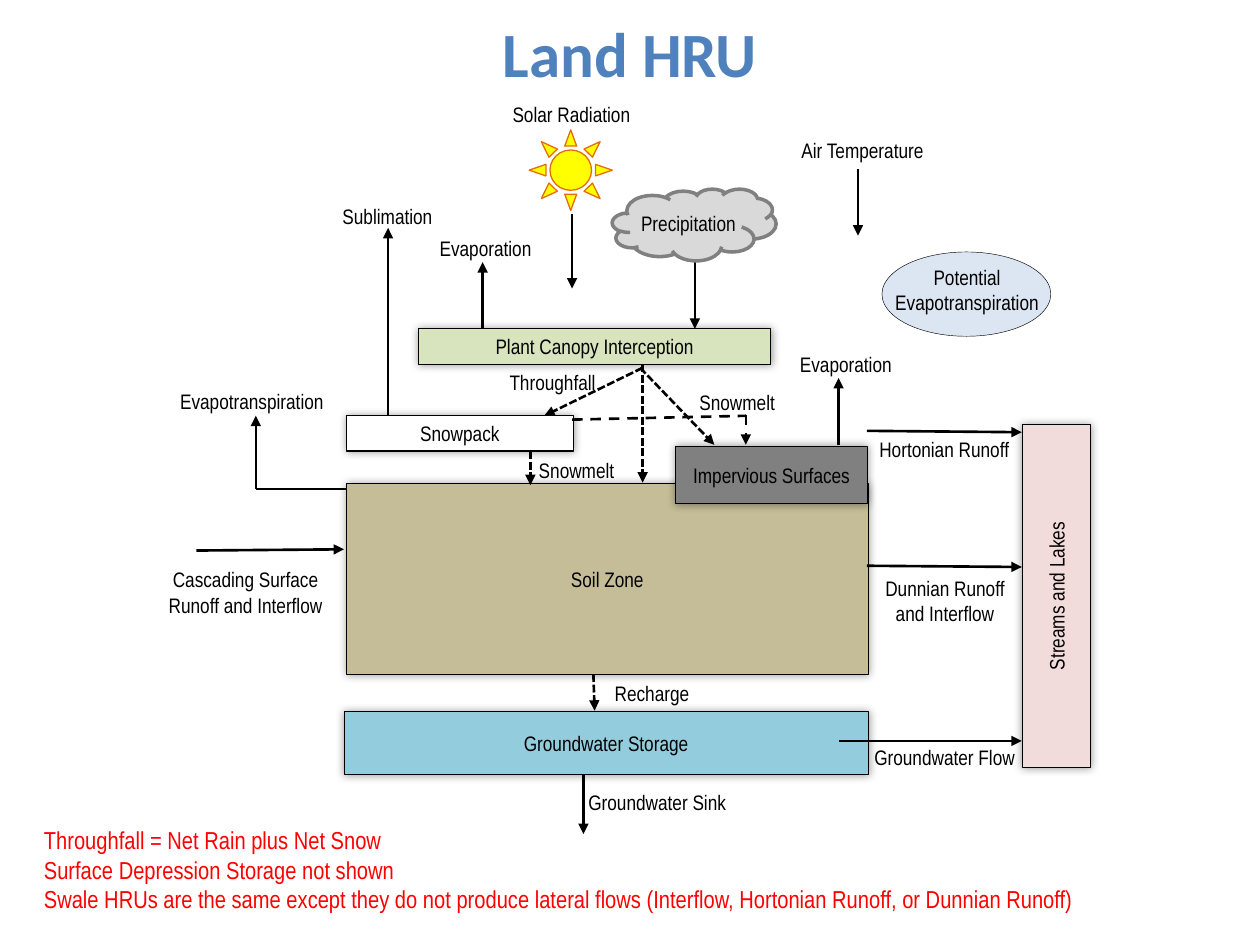
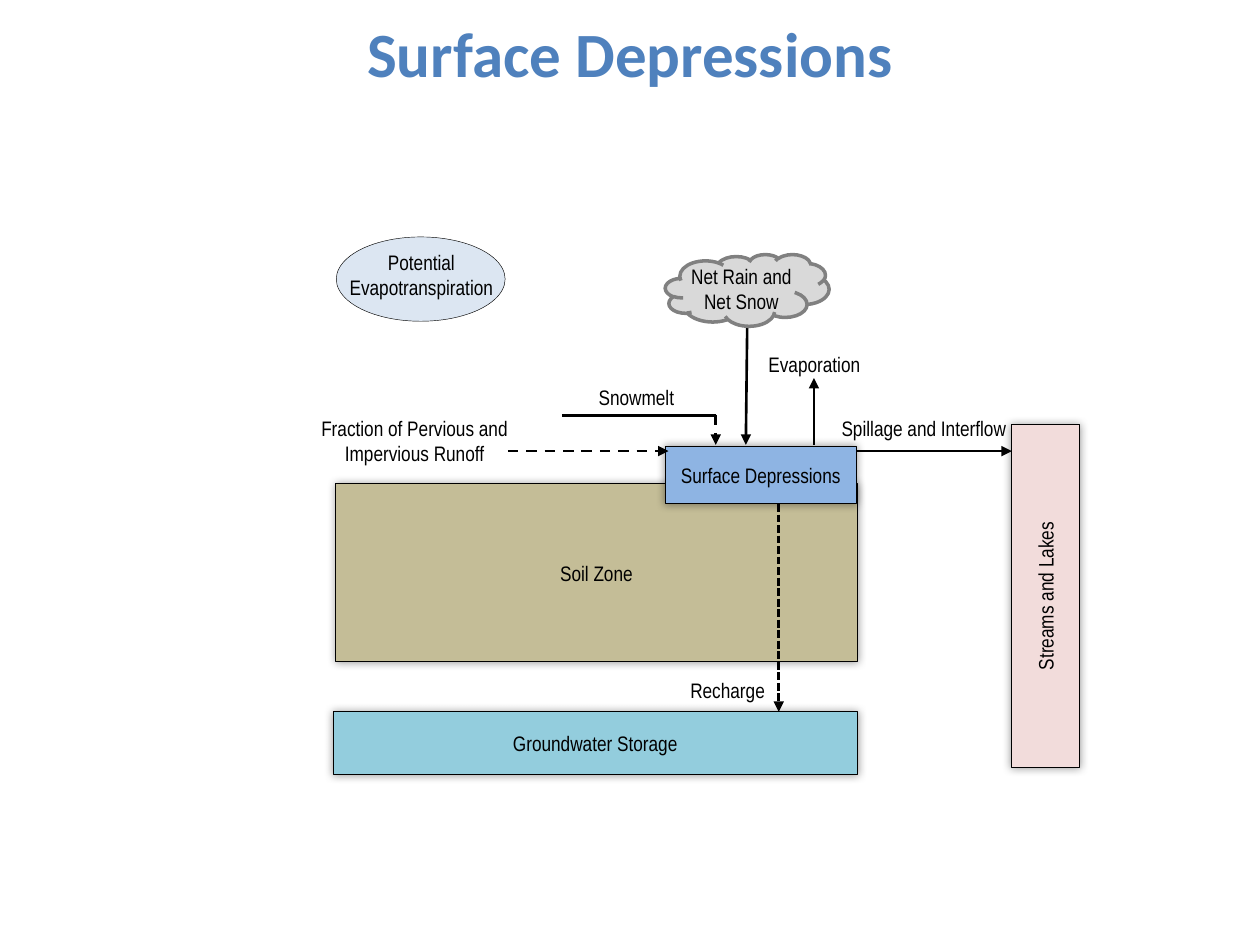
from lxml import etree
from pptx import Presentation
from pptx.dml.color import RGBColor
from pptx.enum.dml import MSO_LINE
from pptx.enum.shapes import MSO_CONNECTOR, MSO_SHAPE as SHAPE
from pptx.enum.text import MSO_ANCHOR as ANCHOR, PP_ALIGN as ALIGN
from pptx.oxml import parse_xml
from pptx.oxml.ns import nsdecls, qn
from pptx.util import Pt

rgb = RGBColor.from_string
BLACK, RED, TITLE_BLUE = "000000", "FF0000", "4F81BD"
SOIL, WATER, STREAM = "C4BD97", "93CDDD", "F2DCDB"
LEFT, CENTER, RIGHT = ALIGN.LEFT, ALIGN.CENTER, ALIGN.RIGHT
SOLID, DOTTED, DASHED = None, MSO_LINE.SQUARE_DOT, MSO_LINE.DASH
SHADOW = (
    f'<a:effectLst {nsdecls("a")}><a:outerShdw blurRad="63500" dist="0" dir="0">'
    '<a:srgbClr val="000000"><a:alpha val="40000"/></a:srgbClr>'
    '</a:outerShdw></a:effectLst>'
)


def write(shape, text, align=CENTER, anchor=ANCHOR.TOP, insets=(7.2, 7.2),
          size=12, color=BLACK, font="Arial Narrow", bold=False):
    frame = shape.text_frame
    frame.word_wrap = True
    frame.vertical_anchor = anchor
    frame.margin_left, frame.margin_right = Pt(insets[0]), Pt(insets[1])
    frame.margin_top = frame.margin_bottom = Pt(3.6)
    for index, wording in enumerate(text.split("\n")):
        paragraph = frame.paragraphs[0] if index == 0 else frame.add_paragraph()
        paragraph.alignment = align
        run = paragraph.add_run()
        run.text = wording
        run.font.size = Pt(size)
        run.font.name = font
        run.font.bold = bold
        run.font.color.rgb = rgb(color)


def add_figure(slide, kind, place, fill, outline, weight):
    figure = slide.shapes.add_shape(kind, *map(Pt, place))
    figure.shadow.inherit = False
    figure.fill.solid()
    figure.fill.fore_color.rgb = rgb(fill)
    figure.line.color.rgb = rgb(outline)
    figure.line.width = Pt(weight)
    return figure


WIDE = (7.2, 7.2)
FLUSH_LEFT = (0, 7.2)
FLUSH = (0, 0)

land = {
    "title": "Land HRU",
    "shift": 0,
    "soil_height": 108.7,
    "boxes": [
        ("Plant Canopy Interception", 239, 187.9, 201.6, 20.2, "D7E4BD", 0.5),
        ("Snowpack", 198, 237.6, 129.6, 20.2, "FFFFFF", 0.75),
    ],
    "surface": ("Impervious Surfaces", "808080"),
    "arrows": [
        (479.5, 423.4, 583.9, 423.4, SOLID, True),
        (495.4, 323.3, 583.9, 324, SOLID, True),
        (495.4, 246.2, 583.9, 247, SOLID, True),
        (326.9, 122.4, 326.9, 164.9, SOLID, True),
        (397.1, 149, 397.1, 187.9, SOLID, True),
        (275.8, 187.9, 275.8, 149.8, SOLID, True),
        (339.1, 385.2, 339.8, 406.1, DOTTED, True),
        (333.4, 442.8, 333.4, 476.6, SOLID, True),
        (112.3, 314.6, 196.6, 313.9, SOLID, True),
        (146.2, 279.4, 146.2, 237.6, SOLID, True),
        (146.2, 279.4, 198, 279.4, SOLID, False),
        (221.8, 237.6, 221.8, 130.3, SOLID, True),
        (303.1, 257.8, 303.1, 277.2, DOTTED, True),
        (490.3, 96.5, 490.3, 134.6, SOLID, True),
        (367.2, 208.1, 367.2, 275.8, DOTTED, True),
        (367.2, 210.2, 311, 237.6, DOTTED, True),
        (365.8, 210.2, 408.2, 254.2, DOTTED, True),
        (426.2, 236.9, 426.2, 254.2, DASHED, True),
        (326.9, 239.8, 426.2, 237.6, DASHED, False),
        (479.2, 254.2, 479.2, 216, SOLID, True),
    ],
    "cloud": ("Precipitation", 349.9, 108),
    "potential": (504, 144),
    "labels": [
        ("Solar Radiation", 285.8, 54.7, 94.3, LEFT, WIDE),
        ("Air Temperature", 457.9, 74.9, 85.7, LEFT, FLUSH_LEFT),
        ("Evaporation", 244.1, 131, 85.7, LEFT, WIDE),
        ("Sublimation", 188.6, 113, 71.3, LEFT, WIDE),
        ("Evapotranspiration", 95.8, 218.2, 101.5, LEFT, WIDE),
        ("Recharge", 340.6, 385.2, 53.3, RIGHT, FLUSH),
        ("Groundwater Flow", 492.5, 421.9, 99.4, LEFT, WIDE),
        ("Groundwater Sink", 336.2, 447.8, 85, LEFT, FLUSH),
        ("Cascading Surface Runoff and Interflow", 84.2, 320.4, 112.3, CENTER, WIDE),
        ("Snowmelt", 306.7, 257.8, 52.6, CENTER, FLUSH_LEFT),
        ("Throughfall", 285.1, 207.4, 68.4, CENTER, FLUSH_LEFT),
        ("Hortonian Runoff", 495.4, 246.2, 93.6, LEFT, WIDE),
        ("Dunnian Runoff\nand Interflow", 496.1, 325.4, 87.8, CENTER, WIDE),
        ("Snowmelt", 396, 218.9, 57.6, CENTER, FLUSH_LEFT),
        ("Evaporation", 450, 197.3, 85.7, LEFT, WIDE),
    ],
}

depressions = {
    "title": "Surface Depressions",
    "shift": -6.2,
    "soil_height": 101.5,
    "boxes": [],
    "surface": ("Surface Depressions", "8EB4E3"),
    "arrows": [
        (489.6, 257.8, 578.2, 257.8, SOLID, True),
        (427, 185.8, 426.2, 254.2, SOLID, True),
        (290.2, 257.8, 382, 257.8, DASHED, True),
        (409, 236.9, 409, 254.2, DASHED, True),
        (321.1, 237.6, 409, 237.6, SOLID, False),
        (445, 288, 445, 406.8, DOTTED, True),
        (465.1, 254.2, 465.1, 216, SOLID, True),
    ],
    "cloud": ("Net Rain and Net Snow", 380.2, 145.4),
    "potential": (192.2, 135.4),
    "labels": [
        ("Recharge", 383.8, 383.8, 53.3, RIGHT, FLUSH),
        ("Fraction of Pervious and Impervious Runoff", 167.8, 234, 138.2, CENTER, WIDE),
        ("Spillage and Interflow", 473.8, 234, 110.9, LEFT, WIDE),
        ("Snowmelt", 338.4, 216, 57.6, CENTER, FLUSH_LEFT),
        ("Evaporation", 432, 197.3, 85.7, LEFT, WIDE),
    ],
}

deck = Presentation()
deck.slide_width, deck.slide_height = Pt(720), Pt(540)

for diagram in (land, depressions):
    slide = deck.slides.add_slide(deck.slide_layouts[6])
    shift = diagram["shift"]
    surface_name, surface_fill = diagram["surface"]
    boxes = diagram["boxes"] + [
        ("Groundwater Storage", 196.6 + shift, 406.8, 299.5, 36, WATER, 0.5),
        ("Streams and Lakes", 505.6 + shift, 321.1, 195.8, 38.9, STREAM, 0.5),
        ("Soil Zone", 198 + shift, 276.5, 298.1, diagram["soil_height"], SOIL, 0.5),
        (surface_name, 386.2 + shift, 254.9, 109.4, 33.1, surface_fill, 0.5),
    ]
    for name, x, y, width, height, fill, weight in boxes:
        box = add_figure(slide, SHAPE.RECTANGLE, (x, y, width, height), fill, BLACK, weight)
        properties = box._element.spPr
        properties.replace(properties.find(qn("a:effectLst")), parse_xml(SHADOW))
        if fill == STREAM:
            box.rotation = 270
        write(box, name, anchor=ANCHOR.MIDDLE)

    for x1, y1, x2, y2, dash, pointed in diagram["arrows"]:
        arrow = slide.shapes.add_connector(MSO_CONNECTOR.STRAIGHT, Pt(x1), Pt(y1), Pt(x2), Pt(y2))
        arrow.line.color.rgb = rgb(BLACK)
        arrow.line.width = Pt(1.5)
        if dash:
            arrow.line.dash_style = dash
        if pointed:
            etree.SubElement(arrow.line._get_or_add_ln(), qn("a:tailEnd"), type="triangle")
        etree.SubElement(arrow._element.spPr, qn("a:effectLst"))

    cloud_text, x, y = diagram["cloud"]
    cloud = add_figure(slide, SHAPE.CLOUD, (x, y, 93.6, 41), "D9D9D9", "808080", 2)
    write(cloud, cloud_text, anchor=ANCHOR.MIDDLE, insets=FLUSH)
    cloud.text_frame.margin_top = cloud.text_frame.margin_bottom = 0

    x, y = diagram["potential"]
    add_figure(slide, SHAPE.OVAL, (x, y, 96.5, 48.2), "DCE6F2", BLACK, 0.25)
    potential = ("Potential\nEvapotranspiration", x, y + 3.6, 97.2, CENTER, FLUSH)
    for text, x, y, width, align, insets in diagram["labels"] + [potential]:
        label = slide.shapes.add_textbox(Pt(x), Pt(y), Pt(width), Pt(36 if len(text) > 22 else 20))
        write(label, text, align, insets=insets)

    if diagram is land:
        add_figure(slide, SHAPE.SUN, (302.4, 74.2, 47.5, 46.1), "FFFF00", "E46C0A", 0.75)
        remarks = slide.shapes.add_textbox(Pt(18), Pt(468), Pt(625), Pt(58.3))
        write(
            remarks,
            "Throughfall = Net Rain plus Net Snow\n"
            "Surface Depression Storage not shown\n"
            "Swale HRUs are the same except they do not produce lateral flows "
            "(Interflow, Hortonian Runoff, or Dunnian Runoff)",
            LEFT, size=14, color=RED,
        )

    title = slide.shapes.add_textbox(0, 0, Pt(720), Pt(59.8))
    write(title, diagram["title"], anchor=ANCHOR.MIDDLE, size=36,
          color=TITLE_BLUE, font="Calibri", bold=True)

deck.save("out.pptx")
